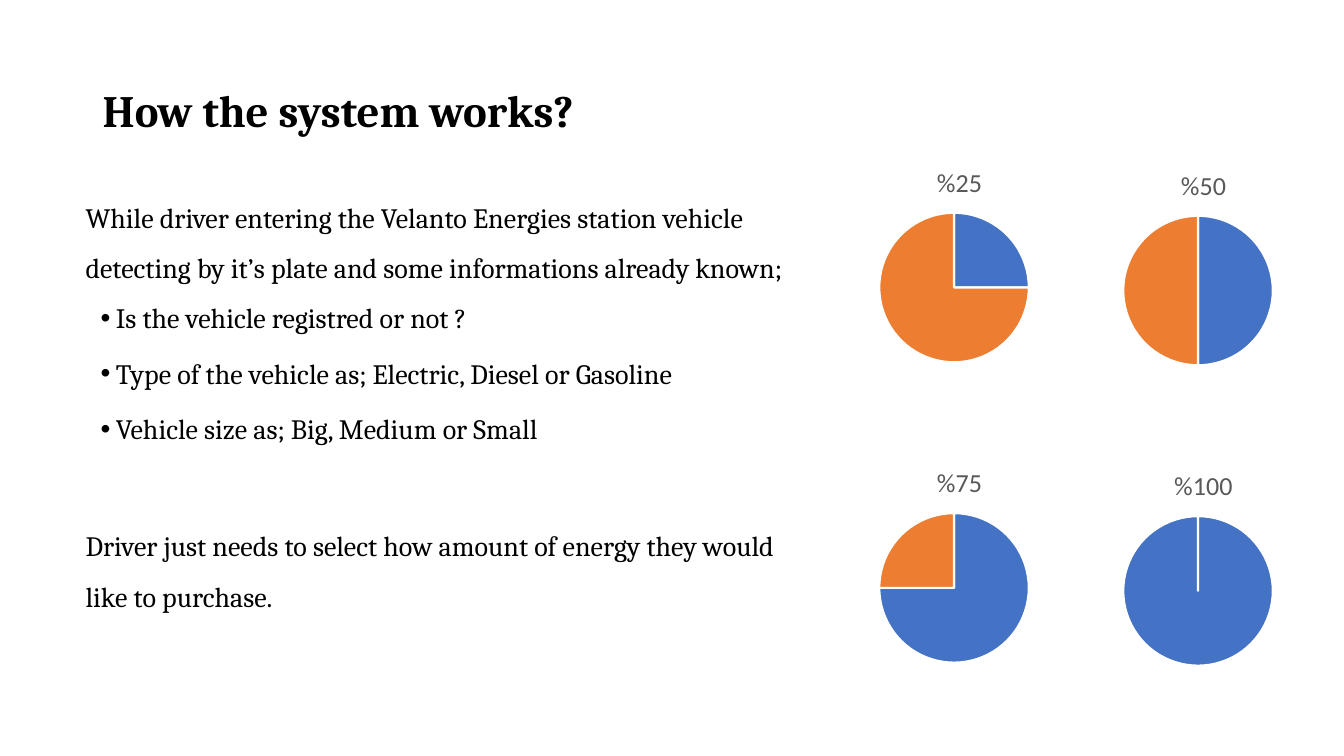
"""Build the slide on how the station system works, with four purchase pies."""
import pptx
import pptx.chart.data
import pptx.dml.color
import pptx.enum.chart
import pptx.enum.text
import pptx.oxml
import pptx.oxml.ns
import pptx.util

THEME = {
    "serif": "Cambria", "sans": "Calibri",
    "ink": "000000", "caption": "595959", "gap": "FFFFFF",
    "slices": ["4472C4", "ED7D31"],
    "title_size": 32, "body_size": 20, "caption_size": 18.6, "chart_size": 10,
}
Inches = pptx.util.Inches
Color = pptx.dml.color.RGBColor.from_string

deck = pptx.Presentation()
deck.slide_width, deck.slide_height = Inches(13.33), Inches(7.5)
page = deck.slides.add_slide(deck.slide_layouts[6])


def add_text(frame, text, *, first=False, size=THEME["body_size"], font=THEME["serif"],
             color=THEME["ink"], bold=False, spacing=1.5, after=0, bullet=False):
    """Write one formatted paragraph into a text frame."""
    para = frame.paragraphs[0] if first else frame.add_paragraph()
    para.line_spacing = spacing
    para.space_after = pptx.util.Pt(after)
    if bullet:
        properties = para._p.get_or_add_pPr()
        properties.set("marL", str(Inches(0.3)))
        properties.set("indent", str(Inches(-0.15)))
        for tag, key, value in (("a:buFont", "typeface", "Arial"), ("a:buChar", "char", "•")):
            mark = pptx.oxml.ns.qn(tag)
            properties.append(properties.makeelement(mark, {key: value}))
    span = para.add_run()
    span.text = text
    span.font.size, span.font.name = pptx.util.Pt(size), font
    span.font.bold, span.font.color.rgb = bold, Color(color)


def set_layout(element, inner=False, **shares):
    """Place a chart part by shares of the chart's size."""
    for old in element.findall(pptx.oxml.ns.qn("c:layout")):
        element.remove(old)
    modes = '<c:layoutTarget val="inner"/>' if inner else ""
    modes += '<c:xMode val="edge"/><c:yMode val="edge"/>'
    sizes = "".join(f'<c:{key} val="{share:.3f}"/>' for key, share in shares.items())
    layout = pptx.oxml.parse_xml(
        f'<c:layout {pptx.oxml.ns.nsdecls("c")}><c:manualLayout>{modes}{sizes}'
        '</c:manualLayout></c:layout>')
    text = element.find(pptx.oxml.ns.qn("c:tx"))
    if text is None:
        element.insert(0, layout)
    else:
        text.addnext(layout)


frames = {}
for name, *area in (("title", 0.92, 0.4, 11.5, 1.45),
                    ("detection", 0.75, 1.77, 7.67, 3.11),
                    ("choice", 0.75, 5.03, 7.11, 1.41)):
    box = page.shapes.add_textbox(*map(Inches, area))
    frames[name] = box.text_frame
    frames[name].word_wrap = True

frames["title"].vertical_anchor = pptx.enum.text.MSO_ANCHOR.MIDDLE
add_text(frames["title"], "How the system works?", first=True,
         size=THEME["title_size"], bold=True, spacing=0.9)

frames["detection"].margin_right = Inches(0.3)
add_text(frames["detection"], "While driver entering the Velanto Energies station vehicle "
         "detecting by it’s plate and some informations already known;", first=True)
for question in ("Is the vehicle registred or not ?",
                 "Type of the vehicle as; Electric, Diesel or Gasoline",
                 "Vehicle size as; Big, Medium or Small"):
    add_text(frames["detection"], question, bullet=True, after=3.6)

add_text(frames["choice"], "Driver just needs to select how amount of energy they would "
         "like to purchase.", first=True)

CHART_WIDTH, CHART_HEIGHT = 2.88, 2.36
for index, percent in enumerate((25, 50, 75, 100)):
    row, column = divmod(index, 2)
    data = pptx.chart.data.CategoryChartData()
    data.categories = ["1", "2"]
    data.add_series("Series 1", (percent, 100 - percent))
    left, top = 8.03 + 2.42 * column, 1.39 + 2.98 * row + 0.03 * column
    chart = page.shapes.add_chart(
        pptx.enum.chart.XL_CHART_TYPE.PIE, Inches(left), Inches(top),
        Inches(CHART_WIDTH), Inches(CHART_HEIGHT), data).chart
    chart.has_legend = False
    chart.font.size, chart.font.name = pptx.util.Pt(THEME["chart_size"]), THEME["sans"]
    chart.font.color.rgb = Color(THEME["ink"])

    caption = f"%{percent}"
    add_text(chart.chart_title.text_frame, caption, first=True, size=THEME["caption_size"],
             font=THEME["sans"], color=THEME["caption"], spacing=1)
    caption_width = 0.06 + 0.13 * len(caption)
    set_layout(chart.chart_title._element, x=0.5 - caption_width / 2 / CHART_WIDTH, y=0.08)
    set_layout(chart._chartSpace.chart.plotArea, inner=True, x=0.24, y=0.305, w=0.515, h=0.63)

    pie = chart.plots[0]
    pie.vary_by_categories = True
    for number, color in enumerate(THEME["slices"]):
        piece = pie.series[0].points[number].format
        piece.fill.solid()
        piece.fill.fore_color.rgb = Color(color)
        piece.line.color.rgb = Color(THEME["gap"])
        piece.line.width = pptx.util.Pt(1.5)

deck.save("out.pptx")
